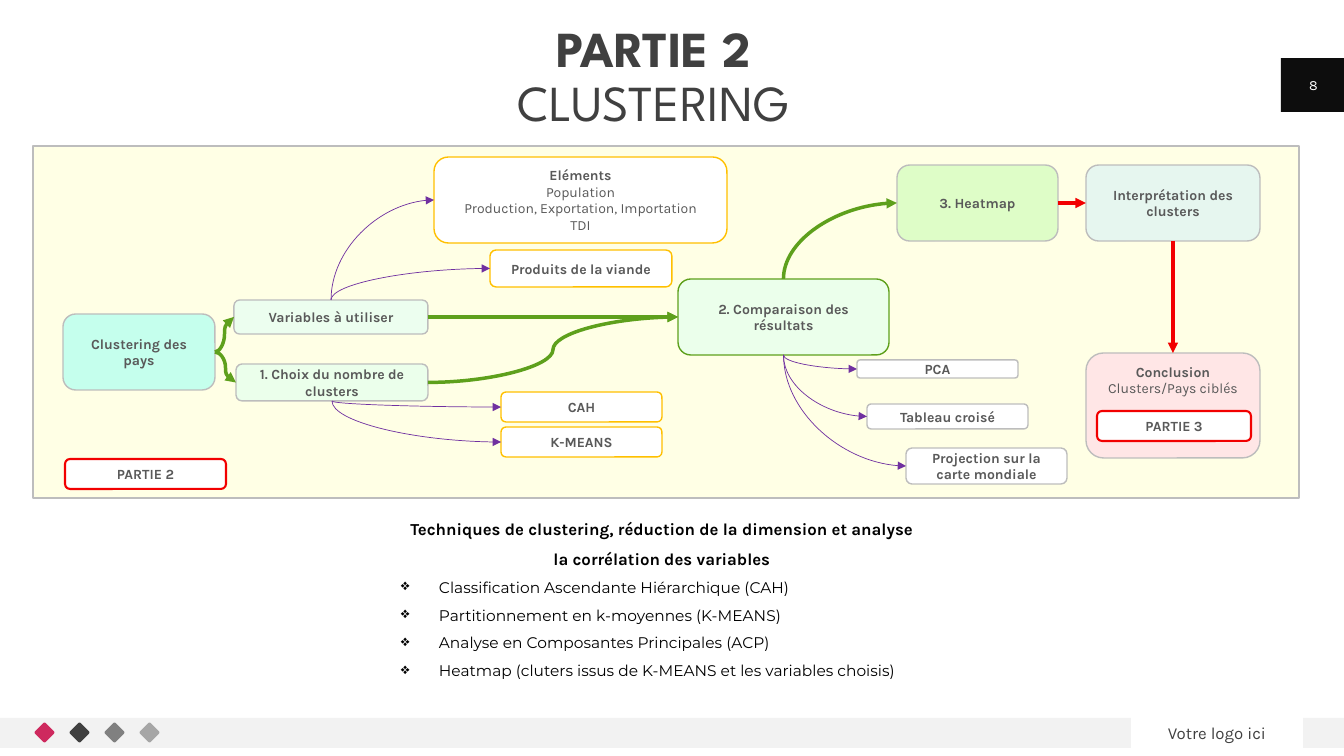
from lxml import etree
from pptx import Presentation
from pptx.dml.color import RGBColor
from pptx.enum.shapes import MSO_CONNECTOR, MSO_SHAPE
from pptx.enum.text import MSO_ANCHOR, PP_ALIGN
from pptx.oxml.ns import qn
from pptx.util import Emu, Pt

RECT, ROUNDED = MSO_SHAPE.RECTANGLE, MSO_SHAPE.ROUNDED_RECTANGLE
CURVE, STRAIGHT = MSO_CONNECTOR.CURVE, MSO_CONNECTOR.STRAIGHT
CENTER, JUSTIFY = PP_ALIGN.CENTER, PP_ALIGN.JUSTIFY
TOP_ANCHOR, MIDDLE = MSO_ANCHOR.TOP, MSO_ANCHOR.MIDDLE
TOP, LEFT, BOTTOM, RIGHT = range(4)  # connection sites of a box

WHITE = RGBColor(0xFF, 0xFF, 0xFF)
BLACK = RGBColor(0x00, 0x00, 0x00)
TAB_BLACK = RGBColor(0x0D, 0x0D, 0x0D)
DARK = RGBColor(0x40, 0x40, 0x40)
TEXT_GREY = RGBColor(0x59, 0x59, 0x59)
MID_GREY = RGBColor(0x80, 0x80, 0x80)
LIGHT_GREY = RGBColor(0xA6, 0xA6, 0xA6)
BORDER = RGBColor(0xBD, 0xBD, 0xBD)
FOOTER = RGBColor(0xF2, 0xF2, 0xF2)
PINK = RGBColor(0xCE, 0x29, 0x5E)
CREAM = RGBColor(0xFF, 0xFF, 0xE5)
MINT = RGBColor(0xEC, 0xFE, 0xEF)
PALE_GREEN = RGBColor(0xEB, 0xFF, 0xEB)
TURQUOISE = RGBColor(0xC5, 0xFF, 0xED)
LIME = RGBColor(0xDE, 0xFD, 0xC7)
SAGE = RGBColor(0xE6, 0xF6, 0xEF)
ROSE = RGBColor(0xFF, 0xE6, 0xE6)
GREEN = RGBColor(0x5E, 0xA0, 0x1C)
AMBER = RGBColor(0xFF, 0xC0, 0x00)
PURPLE = RGBColor(0x70, 0x30, 0xA0)
RED = RGBColor(0xF2, 0x00, 0x00)

# Content
TITLE = ("PARTIE 2", "CLUSTERING")
LOGO_TEXT = "Votre logo ici"
PAGE = "8"
HEADING = "Techniques de clustering, réduction de la dimension et analyse la corrélation des variables"
TECHNIQUES = [
    "Classification Ascendante Hiérarchique (CAH)",
    "Partitionnement en k-moyennes (K-MEANS)",
    "Analyse en Composantes Principales (ACP)",
    "Heatmap (cluters issus de K-MEANS et les variables choisis)",
]
# key: (left, top, width, height), fill, border, lines
STEPS = {
    "variables": ((234, 300, 194, 34), MINT, BORDER, ["Variables à utiliser"]),
    "countries": ((63, 314, 152, 76), TURQUOISE, BORDER, ["Clustering des pays"]),
    "number": ((236, 364, 192, 37), PALE_GREEN, BORDER, ["1. Choix du nombre de clusters"]),
    "kmeans": ((501, 427, 161, 30), WHITE, AMBER, ["K-MEANS"]),
    "cah": ((501, 392, 161, 30), WHITE, AMBER, ["CAH"]),
    "comparison": ((678, 279, 211, 76), PALE_GREEN, GREEN, ["2. Comparaison des résultats"]),
    "pca": ((857, 360, 161, 18), WHITE, BORDER, ["PCA"]),
    "crosstab": ((867, 404, 161, 25), WHITE, BORDER, ["Tableau croisé"]),
    "map": ((906, 448, 161, 36), WHITE, BORDER, ["Projection sur la carte mondiale"]),
    "interpretation": ((1086, 165, 174, 76), SAGE, BORDER, ["Interprétation des clusters"]),
    "conclusion": ((1086, 353, 174, 105), ROSE, BORDER, ["Conclusion", "Clusters/Pays ciblés"]),
    "heatmap": ((897, 165, 161, 76), LIME, BORDER, ["3. Heatmap"]),
    "elements": ((434, 157, 293, 86), WHITE, AMBER,
                 ["Eléments", "Population", "Production, Exportation, Importation", "TDI"]),
    "meat": ((490, 250, 182, 37), WHITE, AMBER, ["Produits de la viande"]),
    "part2": ((65, 459, 161, 30), WHITE, RED, ["PARTIE 2"]),
    "part3": ((1097, 411, 154, 30), WHITE, RED, ["PARTIE 3"]),
}
# (source, site, target, site, colour, width in points)
LINKS = [
    ("countries", RIGHT, "variables", LEFT, GREEN, 2.5),
    ("countries", RIGHT, "number", LEFT, GREEN, 2.5),
    ("number", BOTTOM, "cah", LEFT, PURPLE, 0.5),
    ("number", BOTTOM, "kmeans", LEFT, PURPLE, 0.5),
    ("variables", TOP, "elements", LEFT, PURPLE, 0.5),
    ("variables", TOP, "meat", LEFT, PURPLE, 0.5),
    ("variables", RIGHT, "comparison", LEFT, GREEN, 2.5),
    ("number", RIGHT, "comparison", LEFT, GREEN, 2.5),
    ("comparison", BOTTOM, "crosstab", LEFT, PURPLE, 0.5),
    ("comparison", BOTTOM, "map", LEFT, PURPLE, 0.5),
    ("comparison", BOTTOM, "pca", LEFT, PURPLE, 0.5),
    ("comparison", TOP, "heatmap", LEFT, GREEN, 2.5),
    ("heatmap", RIGHT, "interpretation", LEFT, RED, 2.5),
    ("interpretation", BOTTOM, "conclusion", TOP, RED, 2.5),
]


def px(length):
    return Emu(round(length * 914400 / 100.8))


prs = Presentation()
prs.slide_width, prs.slide_height = px(1344), px(756)
slide = prs.slides.add_slide(prs.slide_layouts[6])


def add_box(preset, area, fill, border=None, border_width=1):
    box = slide.shapes.add_shape(preset, *map(px, area))
    box.shadow.inherit = False
    box.fill.solid()
    box.fill.fore_color.rgb = fill
    if border is None:
        box.line.fill.background()
    else:
        box.line.color.rgb = border
        box.line.width = Pt(border_width)
    return box


def style(run, size, color, bold=False, family="Karla"):
    run.font.size, run.font.bold, run.font.name = Pt(size), bold, family
    run.font.color.rgb = color


def add_text(area, text, anchor=MIDDLE):
    frame = slide.shapes.add_textbox(*map(px, area)).text_frame
    frame.word_wrap = True
    frame.vertical_anchor = anchor
    frame.text = text
    frame.paragraphs[0].alignment = CENTER
    return frame


def add_link(source, source_site, target, target_site, color, width):
    start, end = boxes[source], boxes[target]
    turning = source_site in (TOP, BOTTOM) and target_site == LEFT
    link = slide.shapes.add_connector(CURVE, 0, 0, 0, 0)
    link.begin_connect(start, source_site)
    link.end_connect(end, target_site)
    properties = link._element.spPr
    preset = properties.find(qn("a:prstGeom"))
    if turning:
        # A quarter turn lets the curve leave the source vertically
        preset.set("prst", "curvedConnector2")
        left, top, wide, high = link.left, link.top, link.width, link.height
        link.left, link.top = left + (wide - high) // 2, top + (high - wide) // 2
        link.width, link.height = high, wide
        frame = properties.find(qn("a:xfrm"))
        upward = source_site == TOP
        frame.set("rot", str((90 if upward else 270) * 60000))
        frame.set("flipH", "1")
        frame.set("flipV", "1" if upward else "0")
    elif 0 in (link.width, link.height):
        preset.set("prst", "straightConnector1")
    link.line.color.rgb = color
    link.line.width = Pt(width)
    etree.SubElement(properties.find(qn("a:ln")), qn("a:tailEnd"), type="triangle")
    etree.SubElement(properties, qn("a:effectLst"))


# Footer band, page tab and diamonds
for area, fill in [((0, 718, 1131, 30), FOOTER), ((1303, 718, 41, 30), FOOTER),
                   ((1281, 58, 63, 54), TAB_BLACK)]:
    add_box(RECT, area, fill)
for i, fill in enumerate([PINK, DARK, MID_GREY, LIGHT_GREY]):
    diamond = add_box(ROUNDED, (37 + 35 * i, 725, 15, 15), fill)
    diamond.adjustments[0] = 0.11
    diamond.rotation = 45
for area, text, size, color in [((1131, 718, 172, 30), LOGO_TEXT, 12, DARK),
                                ((1290, 65, 47, 40), PAGE, 10, WHITE)]:
    style(add_text(area, text).paragraphs[0].runs[0], size, color)

# Title
title = add_text((74, 24, 1159, 110), "", TOP_ANCHOR)
title.margin_left = title.margin_right = title.margin_top = title.margin_bottom = 0
title.paragraphs[0].text = "\v".join(TITLE)
title.paragraphs[0].line_spacing = 0.9
for run, bold in zip(title.paragraphs[0].runs, (True, False)):
    style(run, 36, DARK, bold, "League Spartan")

# Techniques
techniques = add_text((391, 504, 542, 180), HEADING)
techniques.paragraphs[0].line_spacing = 1.5
style(techniques.paragraphs[0].runs[0], 12, BLACK, True)
for technique in TECHNIQUES:
    item = techniques.add_paragraph()
    item.text = technique
    indent = item._p.get_or_add_pPr()
    indent.set("marL", str(px(38)))
    indent.set("indent", str(-px(38)))
    etree.SubElement(indent, qn("a:buChar"), char="❖")
    item.alignment = JUSTIFY
    item.line_spacing = 1.5
    style(item.runs[0], 11, BLACK, family="Montserrat")

# Flow diagram
add_box(RECT, (33, 146, 1266, 352), CREAM, BORDER)
boxes = {}
for key, (area, fill, border, lines) in STEPS.items():
    boxes[key] = add_box(ROUNDED, area, fill, border, 1.5 if border == RED else 1)
    label = boxes[key].text_frame
    label.word_wrap = True
    label.vertical_anchor = TOP_ANCHOR if key == "conclusion" else MIDDLE
    label.text = "\n".join(lines)
    for i, paragraph in enumerate(label.paragraphs):
        paragraph.alignment = CENTER
        style(paragraph.runs[0], 10, TEXT_GREY, i == 0)
for link in LINKS:
    add_link(*link)

prs.save("out.pptx")
